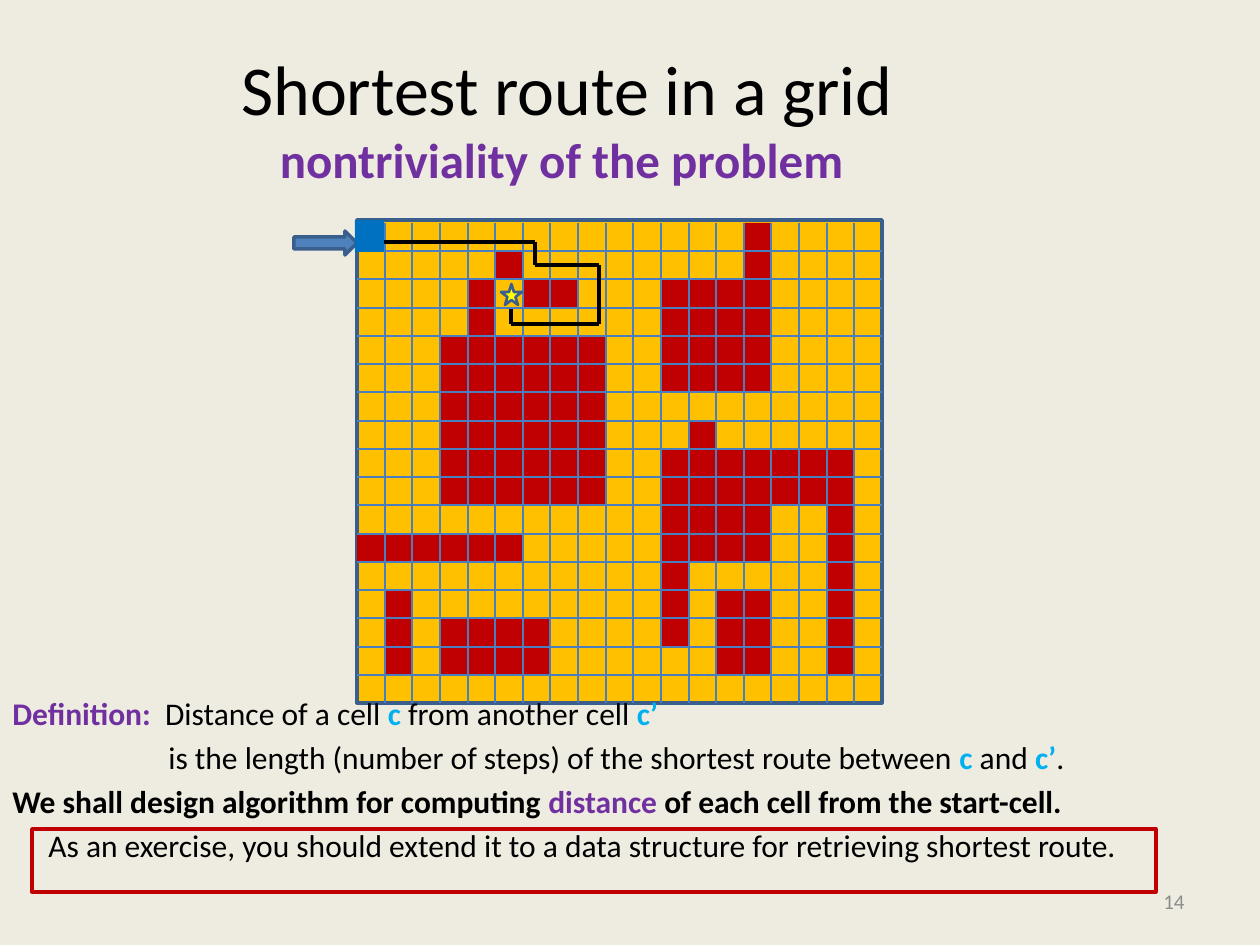
from itertools import pairwise
from lxml.etree import SubElement
from pptx import Presentation
from pptx.dml.color import RGBColor
from pptx.enum.shapes import MSO_CONNECTOR as LINK, MSO_SHAPE as FORM
from pptx.enum.text import MSO_ANCHOR as ANCHOR, MSO_AUTO_SIZE as FIT, PP_ALIGN as ALIGN
from pptx.oxml.ns import qn
from pptx.util import Pt

SCALE = 914400 // 126
BLACK, PURPLE, CYAN, RED = "000000", "7030A0", "00B0F0", "C00000"
EDGE, MESH = "3A5F8C", "4B7EBC"
LEFT, TOP, RIGHT, BASE = 357, 223, 882, 703
COLS, ROWS = 19, 17
WALLS = [
    (11, 2, 4, 4), (11, 8, 4, 4), (3, 4, 6, 6), (3, 14, 4, 2), (13, 13, 2, 3),
    (6, 2, 2, 1), (0, 11, 6, 1), (1, 13, 1, 3), (11, 12, 1, 3), (4, 2, 1, 3),
    (5, 1, 1, 1), (14, 0, 1, 3), (14, 8, 4, 2), (17, 10, 1, 6), (12, 7, 1, 1),
]
ROUTE = [(384, 242), (535, 242), (535, 265), (599, 265), (599, 324), (511, 324), (511, 309)]
TITLE = [[("Shortest route in a grid", dict(size=40)), None,
          ("nontriviality of the problem ", dict(size=28, color=PURPLE, bold=True))]]
CELL = dict(color=CYAN, bold=True)
BODY = [
    [("Definition:  ", dict(color=PURPLE, bold=True)), ("Distance of a cell ", {}),
     ("c", CELL), (" from another cell ", {}), ("c’", CELL)],
    [("is the length (number of steps) of the shortest route between ", {}),
     ("c", CELL), (" and ", {}), ("c’", CELL), (".", {})],
    [("We shall design algorithm for computing ", dict(bold=True)),
     ("distance", dict(color=PURPLE, bold=True)),
     (" of each cell from the start-cell.", dict(bold=True))],
    [("As an exercise, you should extend it to a data structure for retrieving shortest route.", {})],
]


def px(n):
    return n * SCALE


def rgb(code):
    return RGBColor.from_string(code)


def col(n):
    return round(LEFT + n * (RIGHT - LEFT) / COLS)


def row(n):
    return round(TOP + n * (BASE - TOP) / ROWS)


def style(run, size=18, color=BLACK, bold=False):
    font = run.font
    font.name, font.size, font.bold = "Calibri", Pt(size), bold
    font.color.rgb = rgb(color)


def write(box, paras, align=ALIGN.LEFT, anchor=ANCHOR.TOP, gap=0, dents=()):
    frame = box.text_frame
    frame.word_wrap, frame.auto_size, frame.vertical_anchor = True, FIT.NONE, anchor
    for i, runs in enumerate(paras):
        para = frame.add_paragraph() if i else frame.paragraphs[0]
        para.alignment, para.space_after = align, Pt(gap)
        if dents:
            para._p.get_or_add_pPr().set("marL", str(px(dents[i])))
        for part in runs:
            if part is None:
                para.add_line_break()
                continue
            run = para.add_run()
            run.text = part[0]
            style(run, **part[1])


def place(box, x, y, w, h):
    box.left, box.top, box.width, box.height = px(x), px(y), px(w), px(h)


def shape(shapes, kind, x, y, w, h, fill=None, line=None, width=2):
    item = shapes.add_shape(kind, px(x), px(y), px(w), px(h))
    item.shadow.inherit = False
    if fill:
        item.fill.solid()
        item.fill.fore_color.rgb = rgb(fill)
    else:
        item.fill.background()
    if line:
        item.line.color.rgb = rgb(line)
        item.line.width = Pt(width)
    else:
        item.line.fill.background()
    return item


def link(shapes, start, end, color, width):
    item = shapes.add_connector(LINK.STRAIGHT, *map(px, start + end))
    item.line.color.rgb = rgb(color)
    item.line.width = Pt(width)
    SubElement(item._element.spPr, qn("a:effectLst"))


def board(shapes):
    shape(shapes, FORM.RECTANGLE, LEFT, 220, RIGHT - LEFT, BASE - 220, "FFC000", EDGE)
    shape(shapes, FORM.RIGHT_ARROW, 294, 231, 63, 24, "4F81BD", EDGE)
    walls = shapes.add_group_shape().shapes
    for c, r, w, h in WALLS:
        x, y = col(c), row(r)
        shape(walls, FORM.RECTANGLE, x, y, col(c + w) - x, row(r + h) - y, RED)
    mesh = shapes.add_group_shape().shapes
    for c in range(1, COLS):
        link(mesh, (col(c), TOP), (col(c), BASE), MESH, 0.75)
    for r in range(1, ROWS):
        link(mesh, (LEFT, row(r)), (RIGHT, row(r)), MESH, 0.75)
    shape(shapes, FORM.RECTANGLE, 355, 220, 29, 32, "0070C0")
    shape(shapes, FORM.STAR_5_POINT, 501, 284, 21, 21, "FFFF00", EDGE, 1.5)
    for start, end in pairwise(ROUTE):
        link(shapes, start, end, BLACK, 2.25)


def main():
    deck = Presentation()
    deck.slide_width, deck.slide_height = px(1260), px(945)
    slide = deck.slides.add_slide(deck.slide_layouts[5])
    back = slide.background.fill
    back.solid()
    back.fore_color.rgb = rgb("EEECE1")
    shapes = slide.shapes
    place(shapes.title, 0, 38, 1134, 158)
    write(shapes.title, TITLE, align=ALIGN.CENTER, anchor=ANCHOR.MIDDLE)
    board(shapes)
    body = shapes.add_textbox(0, px(688), px(1134), px(194))
    write(body, BODY, gap=3.6, dents=(0, 156, 0, 36))
    shape(shapes, FORM.RECTANGLE, 32, 829, 1124, 63, line=RED)
    page = shapes.add_textbox(px(903), px(876), px(294), px(50))
    write(page, [[("14", dict(size=12, color="8C8C8C"))]], align=ALIGN.RIGHT, anchor=ANCHOR.MIDDLE)
    deck.save("out.pptx")


if __name__ == "__main__":
    main()
